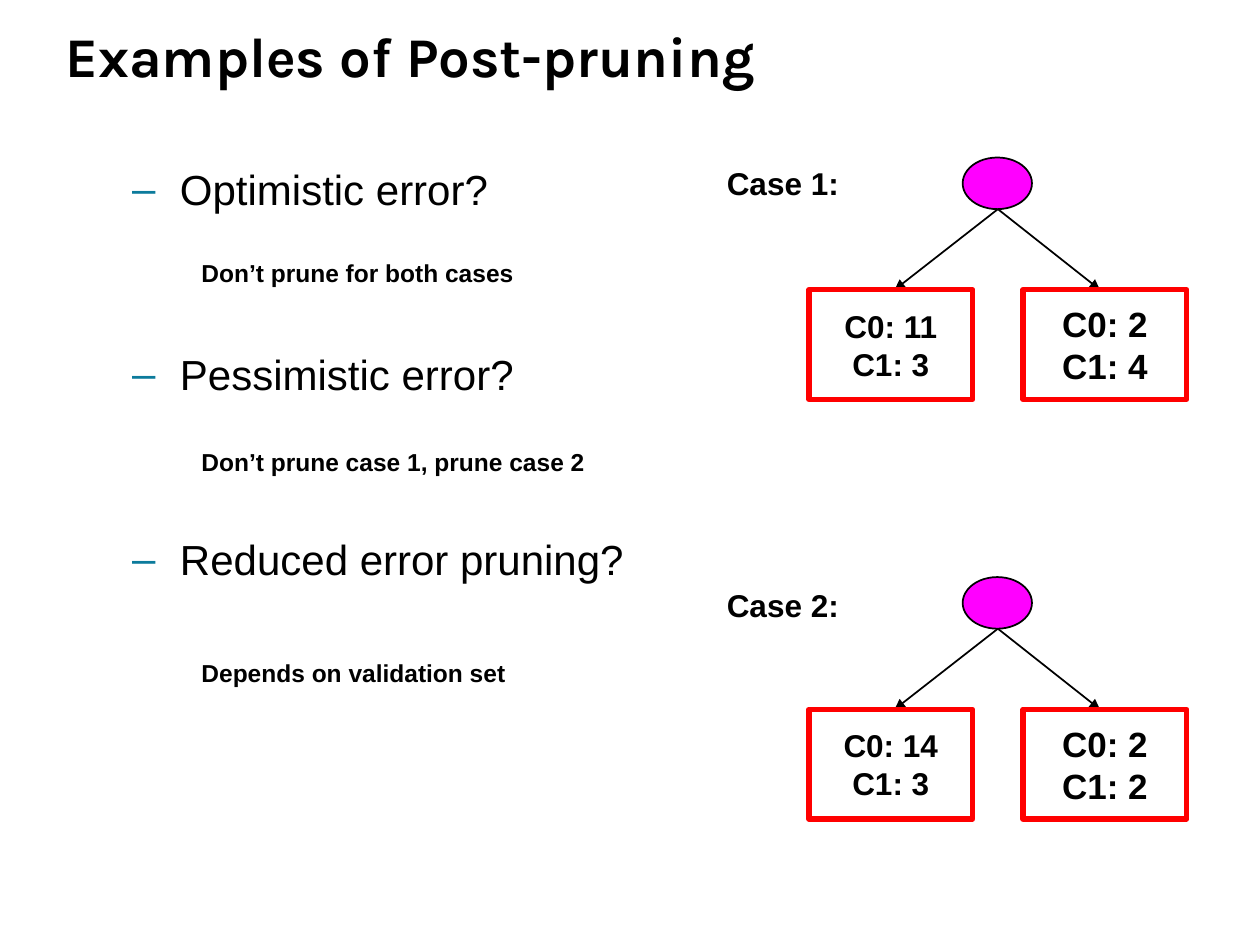
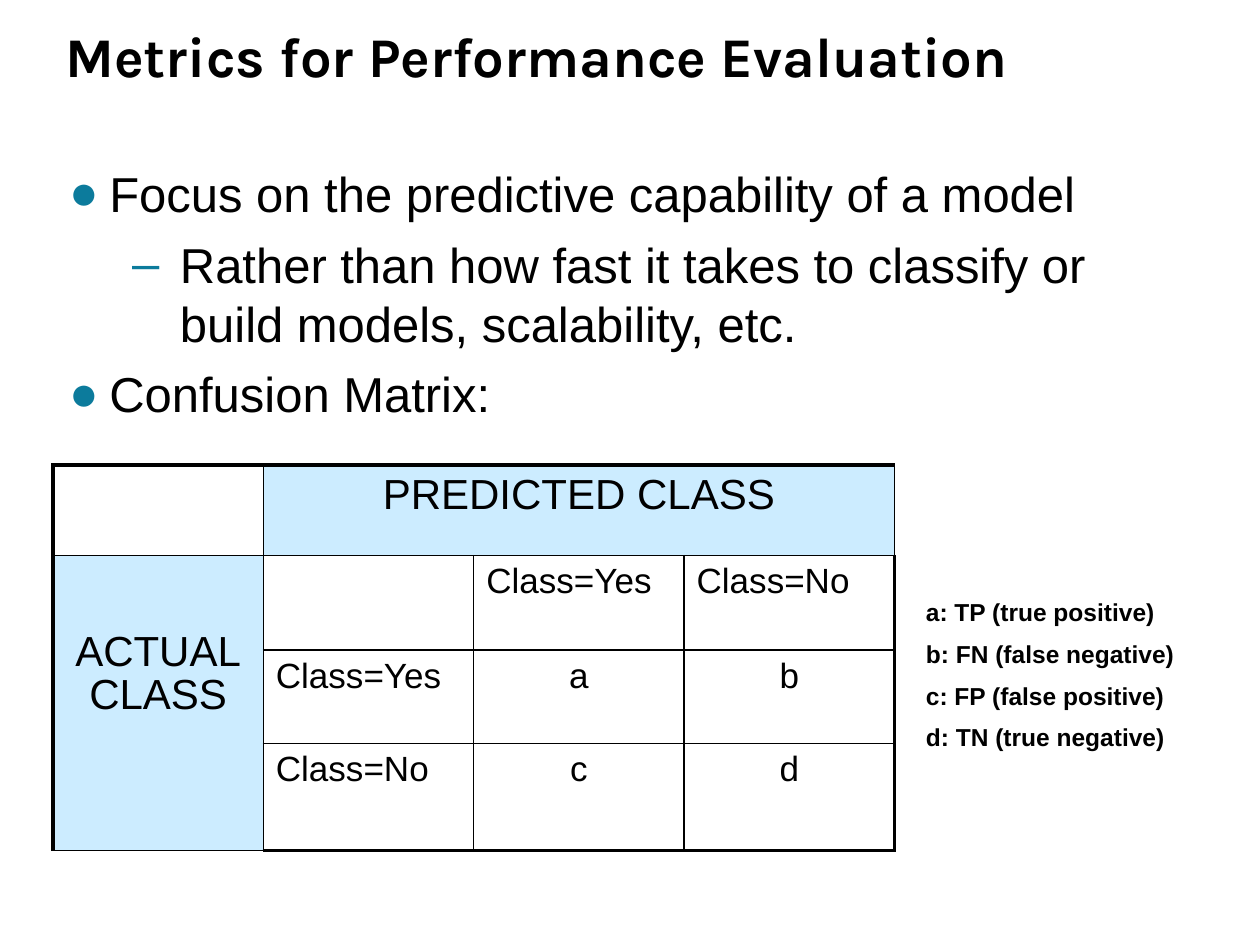
from lxml.etree import SubElement
from pptx import Presentation
from pptx.dml.color import RGBColor
from pptx.enum.shapes import MSO_CONNECTOR as Connector, MSO_SHAPE as Shape
from pptx.enum.text import MSO_ANCHOR as Anchor, PP_ALIGN as Align
from pptx.oxml.ns import qn
from pptx.util import Inches, Pt

BLACK = RGBColor(0x00, 0x00, 0x00)
TEAL = RGBColor(0x0C, 0x7B, 0x9C)
MAGENTA = RGBColor(0xFF, 0x00, 0xFF)
RED = RGBColor(0xFF, 0x00, 0x00)
PALE_BLUE = RGBColor(0xCC, 0xEC, 0xFF)
BULLETS = {"●": (0.32, -0.32), "–": (0.88, -0.38)}


def add_box(page, left, top, width, height):
    frame = page.shapes.add_textbox(
        Inches(left), Inches(top), Inches(width), Inches(height)).text_frame
    frame.word_wrap = True
    return frame


def write(frame, text, size, bold=False, align=Align.LEFT, before=0, bullet=None, font="Arial"):
    para = frame.paragraphs[0]
    if para.runs:
        para = frame.add_paragraph()
        para.space_before = Pt(before)
    para.alignment = align
    if bullet:
        margin, indent = BULLETS[bullet]
        properties = para._p.get_or_add_pPr()
        properties.set("marL", str(Inches(margin)))
        properties.set("indent", str(Inches(indent)))
        color = SubElement(properties, qn("a:buClr"))
        SubElement(color, qn("a:srgbClr"), val=str(TEAL))
        SubElement(properties, qn("a:buFont"), typeface="Arial")
        SubElement(properties, qn("a:buChar"), char=bullet)
    for index, line in enumerate(text.split("\n")):
        if index:
            para.add_line_break()
        span = para.add_run()
        span.text = line
        span.font.name = font
        span.font.size = Pt(size)
        span.font.bold = bold
        span.font.color.rgb = BLACK
    return para


deck = Presentation()
deck.slide_width = Inches(10)
deck.slide_height = Inches(7.5)
pages = []
for title in ["Examples of Post-pruning", "Metrics for Performance Evaluation"]:
    page = deck.slides.add_slide(deck.slide_layouts[6])
    frame = add_box(page, 0.42, 0.17, 9.06, 0.58)
    frame.vertical_anchor = Anchor.BOTTOM
    write(frame, title, 32, bold=True, font="Karla").line_spacing = 1.12
    pages.append(page)
pruning, metrics = pages

frame = add_box(pruning, 0.45, 1.25, 5.05, 5.67)
for question in ["Optimistic error?", "Pessimistic error?", "Reduced error pruning?"]:
    write(frame, question, 24, before=77, bullet="–")

for top, answer in [
    (2, "Don’t prune for both cases"),
    (3.5, "Don’t prune case 1, prune case 2"),
    (5.17, "Depends on validation set"),
]:
    write(add_box(pruning, 1.5, top, 3.58, 0.33), answer, 14, bold=True)

cases = [
    ("Case 1:", 1.25, 1.25, [("C0: 11", "C1: 3"), ("C0: 2", "C1: 4")]),
    ("Case 2:", 4.6, 4.58, [("C0: 14", "C1: 3"), ("C0: 2", "C1: 2")]),
]
for label, label_top, top, leaves in cases:
    write(add_box(pruning, 5.67, label_top, 1.33, 0.4), label, 18, bold=True)
    tree = pruning.shapes.add_group_shape().shapes
    root = tree.add_shape(
        Shape.OVAL, Inches(7.64), Inches(top), Inches(0.55), Inches(0.41))
    root.shadow.inherit = False
    root.fill.solid()
    root.fill.fore_color.rgb = MAGENTA
    root.line.color.rgb = BLACK
    root.line.width = Pt(1)
    for counts, left, arrow_end, size in zip(leaves, (6.42, 8.12), (7.1, 8.73), (18, 20)):
        branch = tree.add_connector(
            Connector.STRAIGHT, Inches(7.92), Inches(top + 0.41),
            Inches(arrow_end), Inches(top + 1.05))
        branch.line.color.rgb = BLACK
        branch.line.width = Pt(1)
        SubElement(branch.line._get_or_add_ln(), qn("a:tailEnd"), type="triangle")
        SubElement(branch._element.spPr, qn("a:effectLst"))
        leaf = tree.add_shape(
            Shape.RECTANGLE, Inches(left), Inches(top + 1.05), Inches(1.3), Inches(0.87))
        leaf.shadow.inherit = False
        leaf.fill.background()
        leaf.line.color.rgb = RED
        leaf.line.width = Pt(3)
        leaf.text_frame.vertical_anchor = Anchor.MIDDLE
        for count in counts:
            write(leaf.text_frame, count, size, bold=True, align=Align.CENTER)

frame = add_box(metrics, 0.45, 1.25, 9.1, 5.67)
for bullet, point in [
    ("●", "Focus on the predictive capability of a model"),
    ("–", "Rather than how fast it takes to classify or build models, scalability, etc."),
    ("●", "Confusion Matrix:"),
]:
    write(frame, point, 28, before=6.8, bullet=bullet)

row_heights = [0.72, 0.75, 0.74, 0.85]
matrix = metrics.shapes.add_table(
    4, 4, Inches(0.42), Inches(3.69), Inches(6.68), Inches(sum(row_heights))).table
matrix.first_row = False
matrix.horz_banding = False
for row, height in zip(matrix.rows, row_heights):
    row.height = Inches(height)
for column in matrix.columns:
    column.width = Inches(1.67)
matrix.cell(0, 1).merge(matrix.cell(0, 3))
matrix.cell(1, 0).merge(matrix.cell(3, 0))

texts = [
    ["", "PREDICTED CLASS", "", ""],
    ["ACTUAL\nCLASS", "", "Class=Yes", "Class=No"],
    ["", "Class=Yes", "a", "b"],
    ["", "Class=No", "c", "d"],
]
for i, row_texts in enumerate(texts):
    for j, text in enumerate(row_texts):
        cell = matrix.cell(i, j)
        properties = cell._tc.get_or_add_tcPr()
        for side, outer in [("L", j == 0), ("R", j == 3), ("T", i == 0), ("B", i == 3)]:
            border = SubElement(
                properties, qn("a:ln" + side), w=str(Pt(2.25 if outer else 1)))
            fill = SubElement(border, qn("a:solidFill"))
            SubElement(fill, qn("a:srgbClr"), val=str(BLACK))
        heading = (i == 0) != (j == 0)
        if heading:
            cell.fill.solid()
            cell.fill.fore_color.rgb = PALE_BLUE
        else:
            cell.fill.background()
        if text:
            centered = heading or len(text) == 1
            write(cell.text_frame, text, 24 if heading else 20,
                  align=Align.CENTER if centered else Align.LEFT)
actual = matrix.cell(1, 0)
actual.margin_top = Inches(0.6)
actual.text_frame.paragraphs[0].line_spacing = 0.93

frame = add_box(metrics, 7.25, 4.69, 2.42, 1.38)
for meaning in ["a: TP (true positive)", "b: FN (false negative)",
                "c: FP (false positive)", "d: TN (true negative)"]:
    write(frame, meaning, 14, bold=True, before=7)

deck.save("out.pptx")
